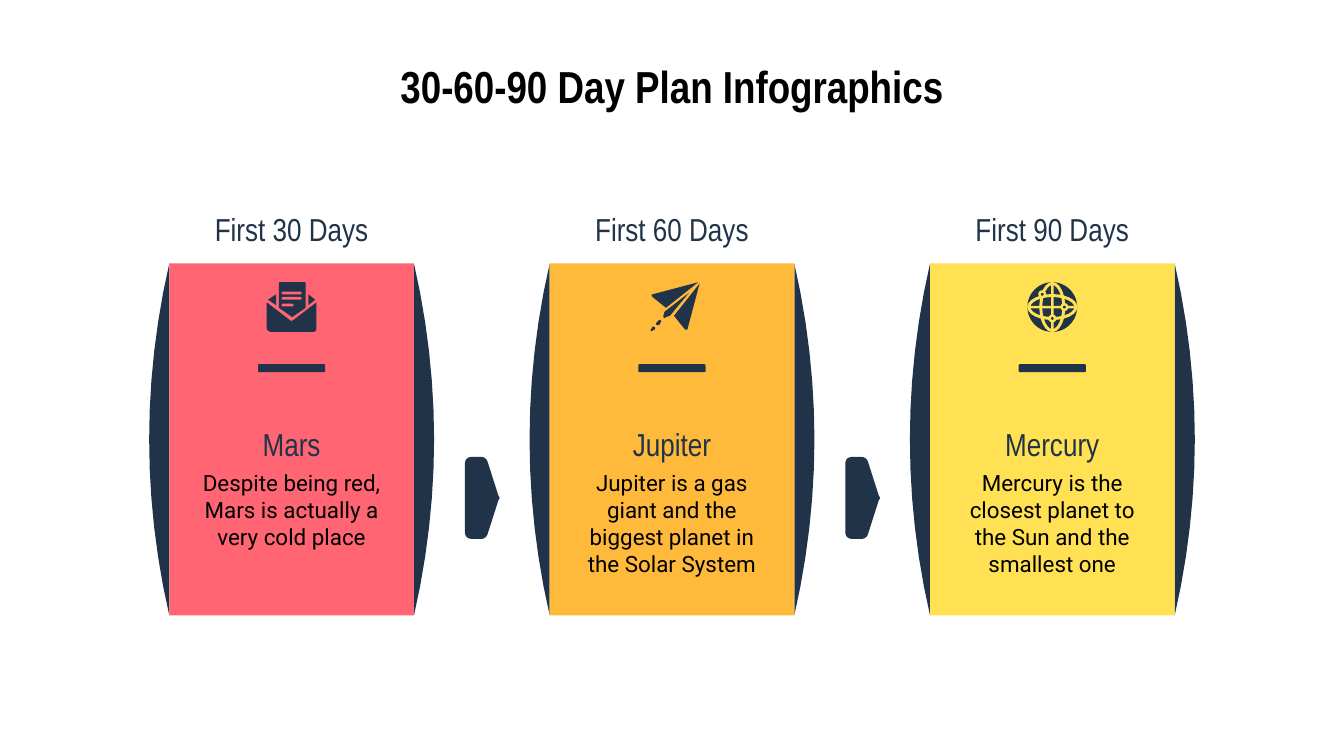
from pptx import Presentation
from pptx.dml.color import RGBColor
from pptx.enum.shapes import MSO_SHAPE as SHAPE
from pptx.enum.text import MSO_ANCHOR as ANCHOR, PP_ALIGN as ALIGN
from pptx.util import Inches, Pt

NAVY = RGBColor(0x20, 0x33, 0x49)
BLACK = RGBColor(0, 0, 0)
RED = RGBColor(0xFF, 0x65, 0x73)
ORANGE = RGBColor(0xFF, 0xB9, 0x3B)
YELLOW = RGBColor(0xFF, 0xE1, 0x53)
HEAD_FONT, BODY_FONT = "Arial Narrow", "Roboto"

# Content
TITLE = "30-60-90 Day Plan Infographics"
STAGES = [
    ("First 30 Days", "Mars", "Despite being red, Mars is actually a very cold place", RED),
    ("First 60 Days", "Jupiter",
     "Jupiter is a gas giant and the biggest planet in the Solar System", ORANGE),
    ("First 90 Days", "Mercury",
     "Mercury is the closest planet to the Sun and the smallest one", YELLOW),
]

# Outlines: a pair is a corner, six numbers are a cubic curve (hundredths of an inch)
ENVELOPE = [
    [(0, 15), (0, 34), (0, 36, 2, 37, 4, 37), (34, 37), (36, 37, 37, 36, 37, 34),
     (37, 15), (20, 28), (19, 29, 18, 29, 17, 28)],
    [(31, 9), (31, 17), (36, 13)],
    [(7, 9), (1, 13), (7, 17)],
    [(10, 0), (9, 0, 9, 1, 9, 1), (9, 19), (19, 26), (29, 19), (29, 1),
     (29, 1, 29, 0, 28, 0)],
]
LETTER_LINES = [(7, 15), (11, 15), (16, 9)]  # top, length
PLANE = [
    [(36, 0), (2, 9), (1, 9, 1, 10, 2, 11), (12, 19)],
    [(37, 1), (18, 25), (26, 35), (27, 35.5, 28, 35.5, 28, 35)],
    [(29, 8), (11, 22), (10, 25), (10, 27, 11, 27, 12, 26), (15, 25)],
    [(2, 33), (1, 35), (0, 36, 1, 37, 2, 36), (4, 35), (4, 34, 4, 33, 2, 33)],
    [(7, 28), (5, 30), (4, 31, 5, 32, 6, 32), (7, 32), (8, 30), (9, 29, 8, 28, 7, 28)],
]
GLOBE_NODES = [(11, 9), (27.5, 18.5), (18.5, 27)]
ARROW = [(0, 56), (0, 59, 2, 61, 5, 61), (12, 61), (14, 61, 16, 60, 17, 57), (25, 32),
         (26, 31, 26, 30, 25, 29), (17, 4), (16, 1, 14, 0, 12, 0), (5, 0),
         (2, 0, 0, 2, 0, 5)]
SIDE = [(0, 0), (-20, 87, -20, 175, 0, 262)]

# Layout
FIRST_CENTER, STEP = 2.17, 2.83
PANEL_TOP, PANEL_WIDTH, PANEL_HEIGHT = 1.96, 1.82, 2.62
ICON_TOP, ICON_SIZE = 2.1, 0.37
CURVE_STEPS = 12

deck = Presentation()
deck.slide_width = Inches(10)
deck.slide_height = deck.slide_width * 9 // 16
page = deck.slides.add_slide(deck.slide_layouts[6])


def paint(shape, color):
    shape.shadow.inherit = False
    shape.fill.solid()
    shape.fill.fore_color.rgb = color
    shape.line.fill.background()


def add_preset(kind, left, top, width, height, color):
    shape = page.shapes.add_shape(kind, *map(Inches, (left, top, width, height)))
    paint(shape, color)
    return shape


def add_ring(left, top, width, height, color):
    ring = add_preset(SHAPE.OVAL, left, top, width, height, color)
    ring.fill.background()
    ring.line.color.rgb = color
    ring.line.width = Pt(1.6)


def add_outline(steps, left, top, flip=1):
    points = []
    for step in steps:
        if len(step) == 2:
            points.append(step)
            continue
        nodes = [points[-1], step[:2], step[2:4], step[4:]]
        for i in range(1, CURVE_STEPS + 1):
            t = i / CURVE_STEPS
            weights = ((1 - t) ** 3, 3 * t * (1 - t) ** 2, 3 * t * t * (1 - t), t ** 3)
            points.append(tuple(sum(w * node[axis] for w, node in zip(weights, nodes))
                                for axis in (0, 1)))
    placed = [(Inches(left + flip * x / 100), Inches(top + y / 100)) for x, y in points]
    builder = page.shapes.build_freeform(*placed[0])
    builder.add_line_segments(placed[1:], close=True)
    paint(builder.convert_to_shape(), NAVY)


def add_text(text, left, top, width, height, size, font, color,
             bold=False, anchor=ANCHOR.TOP, side=0.1):
    box = page.shapes.add_textbox(*map(Inches, (left, top, width, height)))
    frame = box.text_frame
    frame.word_wrap = True
    frame.vertical_anchor = anchor
    frame.margin_left = frame.margin_right = Inches(side)
    frame.margin_top = frame.margin_bottom = Inches(0.1)
    para = frame.paragraphs[0]
    para.alignment = ALIGN.CENTER
    span = para.add_run()
    span.text = text
    span.font.size, span.font.name, span.font.bold = Pt(size), font, bold
    span.font.color.rgb = color


def draw_envelope(left, color):
    for steps in ENVELOPE:
        add_outline(steps, left, ICON_TOP)
    for top, length in LETTER_LINES:
        line = add_preset(SHAPE.ROUNDED_RECTANGLE, left + 0.11, ICON_TOP + top / 100,
                          length / 100, 0.02, color)
        line.adjustments[0] = 0.5


def draw_plane(left, color):
    for steps in PLANE:
        add_outline(steps, left + 0.02, ICON_TOP)


def draw_globe(left, color):
    middle = ICON_SIZE / 2
    add_preset(SHAPE.OVAL, left, ICON_TOP, ICON_SIZE, ICON_SIZE, NAVY)
    add_ring(left + 0.1, ICON_TOP + 0.01, 0.17, 0.35, color)
    add_ring(left + 0.01, ICON_TOP + 0.1, 0.35, 0.17, color)
    add_preset(SHAPE.RECTANGLE, left + middle - 0.01, ICON_TOP, 0.02, ICON_SIZE, color)
    add_preset(SHAPE.RECTANGLE, left, ICON_TOP + middle - 0.01, ICON_SIZE, 0.02, color)
    for x, y in GLOBE_NODES:
        for size, tint in ((0.06, color), (0.02, NAVY)):
            add_preset(SHAPE.OVAL, left + x / 100 - size / 2,
                       ICON_TOP + y / 100 - size / 2, size, size, tint)


# Title
add_text(TITLE, 0.2, 0.34, 9.6, 0.63, 24, HEAD_FONT, BLACK, bold=True)

# One column per stage
ICONS = [draw_envelope, draw_plane, draw_globe]
for index, ((period, planet, fact, color), draw_icon) in enumerate(zip(STAGES, ICONS)):
    center = FIRST_CENTER + index * STEP
    half = PANEL_WIDTH / 2

    # Panel with curved sides
    add_outline(SIDE, center - half, PANEL_TOP)
    add_outline(SIDE, center + half, PANEL_TOP, flip=-1)
    add_preset(SHAPE.RECTANGLE, center - half, PANEL_TOP, PANEL_WIDTH, PANEL_HEIGHT, color)

    # Icon and divider
    draw_icon(center - ICON_SIZE / 2, color)
    add_preset(SHAPE.ROUNDED_RECTANGLE, center - 0.25, 2.71, 0.5, 0.06, NAVY)

    # Headings and description
    for text, top in ((period, 1.47), (planet, 3.07)):
        add_text(text, center - 1.05, top, 2.1, 0.47, 17, HEAD_FONT, NAVY,
                 anchor=ANCHOR.MIDDLE)
    add_text(fact, center - 0.97, 3.39, 1.94, 1.1, 12, BODY_FONT, BLACK, side=0.3)

    # Arrow to the next stage
    if index < len(STAGES) - 1:
        add_outline(ARROW, center + 1.29, 3.4)

deck.save("out.pptx")
